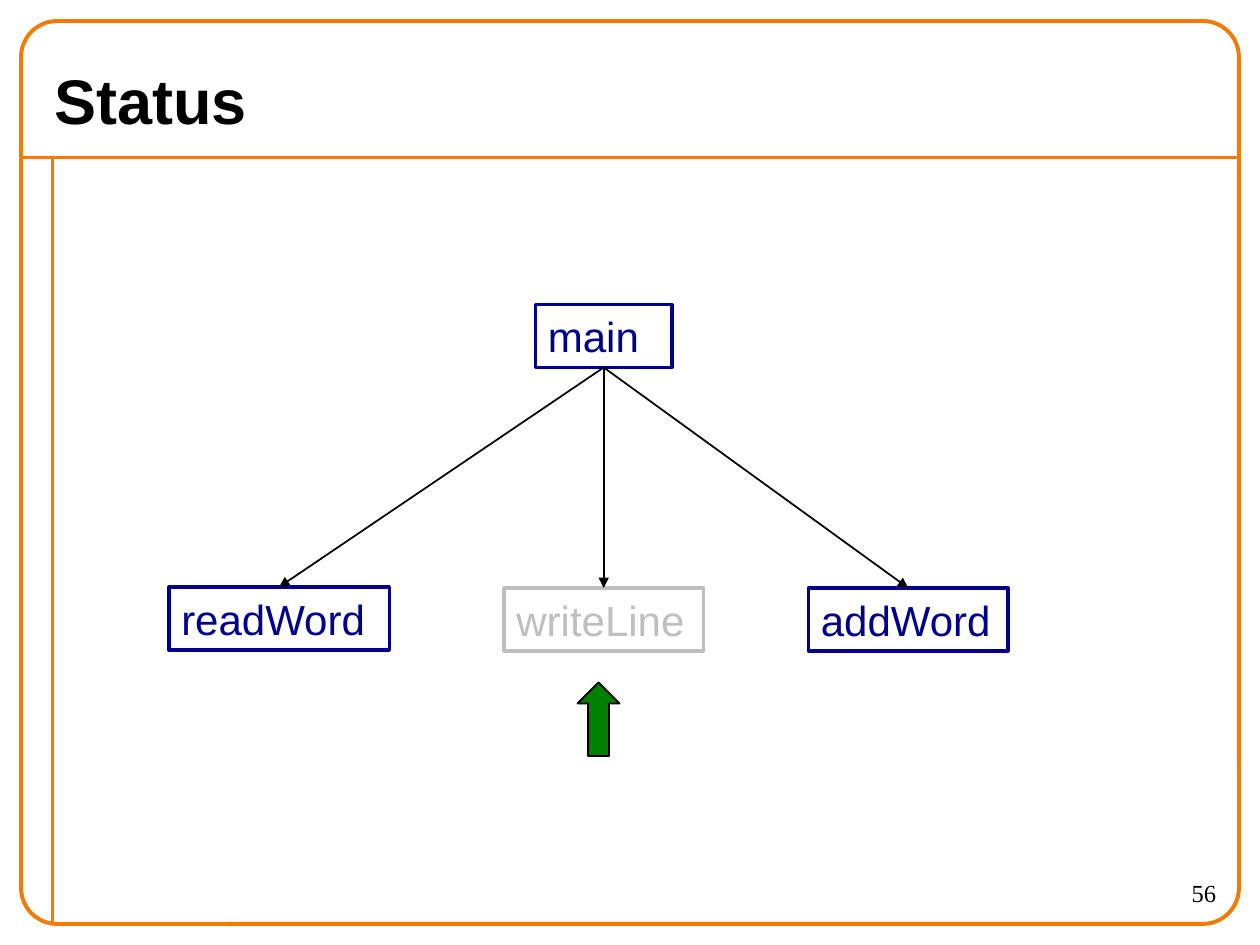
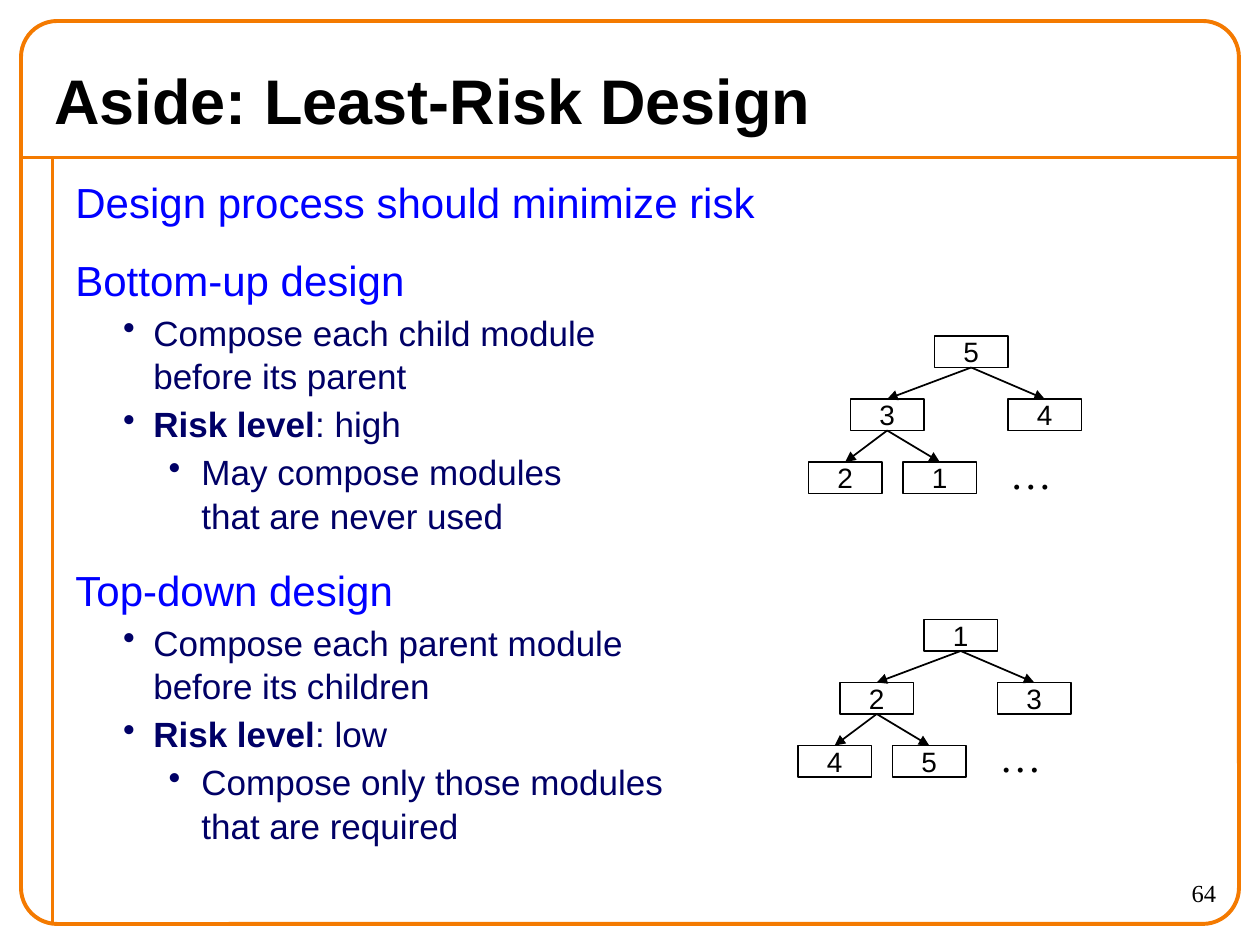
from lxml import etree
from pptx import Presentation
from pptx.dml.color import RGBColor
from pptx.enum import shapes, text
from pptx.oxml import ns
from pptx.util import Pt

HUES = {"frame": "F47A00", "black": "000000", "navy": "000090", "gray": "BFBFBF",
        "green": "008000", "blue": "0000FF", "ink": "000066"}
RGB = {name: RGBColor.from_string(hue) for name, hue in HUES.items()}
SANS, SERIF = "Arial", "Times New Roman"
KIND = shapes.MSO_SHAPE
LEFT, MID, RIGHT = text.PP_ALIGN.LEFT, text.PP_ALIGN.CENTER, text.PP_ALIGN.RIGHT
TOP, CENTER = text.MSO_ANCHOR.TOP, text.MSO_ANCHOR.MIDDLE


def box(slide, place, words="", size=24, hue="black", font=SANS, bold=False, align=LEFT,
        anchor=TOP, wrap=True, kind=None, width=1, line="black", fill=None):
    """Add a preset shape, or a plain text box when no kind is given."""
    place = [Pt(n) for n in place]
    if kind is None:
        item = slide.shapes.add_textbox(*place)
    else:
        item = slide.shapes.add_shape(kind, *place)
        item.shadow.inherit = False
        item.line.color.rgb = RGB[line]
        item.line.width = Pt(width)
        if fill:
            item.fill.solid()
            item.fill.fore_color.rgb = RGB[fill]
        else:
            item.fill.background()
    frame = item.text_frame
    frame.word_wrap = wrap
    frame.vertical_anchor = anchor
    if words:
        para = frame.paragraphs[0]
        para.alignment = align
        run = para.add_run()
        run.text = words
        run.font.size = Pt(size)
        run.font.name = font
        run.font.bold = bold
        run.font.color.rgb = RGB[hue]
    return item


def link(slide, start, end, hue="black", width=1, head=True):
    """Draw a straight line, with an arrowhead at its end if wanted."""
    item = slide.shapes.add_connector(
        shapes.MSO_CONNECTOR.STRAIGHT, *[Pt(n) for n in (*start, *end)])
    item.line.color.rgb = RGB[hue]
    item.line.width = Pt(width)
    if head:
        etree.SubElement(item.line._get_or_add_ln(), ns.qn("a:tailEnd"), type="triangle")
    etree.SubElement(item._element.spPr, ns.qn("a:effectLst"))
    return item


deck = Presentation()
deck.slide_width, deck.slide_height = Pt(720), Pt(540)

# Frame, title and page number of every slide
pages = []
for title, number in [("Status", "56"), ("Aside: Least-Risk Design", "64")]:
    page = deck.slides.add_slide(deck.slide_layouts[6])
    for start, end in [((12, 90), (708, 90)), ((30, 90), (30, 528))]:
        link(page, start, end, "frame", 2.25, head=False)
    edge = box(page, (12, 12, 696, 516), kind=KIND.ROUNDED_RECTANGLE,
               line="frame", width=2.25)
    edge.adjustments[0] = 0.04
    box(page, (24, 30, 672, 54), title, 36, bold=True, anchor=CENTER)
    box(page, (630, 498, 72, 30), number, 14, font=SERIF, align=RIGHT)
    pages.append(page)
status, aside = pages

# Status: main calls three modules
calls = [("main", 306, 174, 78, "navy"), ("readWord", 96.5, 335.5, 126, "navy"),
         ("writeLine", 288, 336, 114, "gray"), ("addWord", 462, 336, 114, "navy")]
mods = [box(status, (x, y, wide, 36), name, hue=hue, kind=KIND.RECTANGLE,
            width=2, line=hue)
        for name, x, y, wide, hue in calls]
trees = [(status, mods, [(0, 1), (0, 2), (0, 3)])]
box(status, (330, 390, 24, 42), kind=KIND.UP_ARROW, fill="green")

# Least-risk design: level, then runs of (text, bold)
points = [
    (0, [("Design process should minimize risk", False)]),
    (0, [("Bottom-up design", False)]),
    (1, [("Compose each child module\nbefore its parent", False)]),
    (1, [("Risk level", True), (": high", False)]),
    (2, [("May compose modules\nthat are never used", False)]),
    (0, [("Top-down design", False)]),
    (1, [("Compose each parent module\nbefore its children", False)]),
    (1, [("Risk level", True), (": low", False)]),
    (2, [("Compose only those modules\nthat are required", False)]),
]
# Per level: size, colour, space before, left margin, hanging indent
styles = [(24, "blue", 15, 17.25, 17.25), (20, "ink", 2.5, 44.5, 17.25),
          (20, "ink", 2.5, 72, 18.75)]
body = box(aside, (36, 96, 666, 432)).text_frame
for i, (level, runs) in enumerate(points):
    size, hue, space, margin, hang = styles[level]
    para = body.add_paragraph() if i else body.paragraphs[0]
    para.level = level
    para.line_spacing = 1.04
    para.space_before = Pt(space if i else 0)
    props = para._p.get_or_add_pPr()
    props.set("marL", str(Pt(margin)))
    props.set("indent", str(-Pt(hang)))
    if level:
        etree.SubElement(props, ns.qn("a:buChar"), char="•")
    for words, bold in runs:
        for j, part in enumerate(words.split("\n")):
            if j:
                para.add_line_break()
            run = para.add_run()
            run.text = part
            run.font.size = Pt(size)
            run.font.name = SANS
            run.font.bold = bold
            run.font.color.rgb = RGB[hue]

# Two small trees, numbered in order of composition
spots = [(0, 0), (-48, 36), (42, 36), (-72, 72), (-18, 72)]
for left, top, order in [(534, 192, "53421"), (528, 354, "12345")]:
    nodes = [box(aside, (left + x, top + y, 42, 18), name, 16, align=MID, anchor=CENTER,
                 wrap=False, kind=KIND.RECTANGLE)
             for (x, y), name in zip(spots, order)]
    trees.append((aside, nodes, [(0, 1), (1, 3), (0, 2), (1, 4)]))
    box(aside, (left + 36, top + 60, 38, 36), "…", font=SERIF, wrap=False)

# Arrows from the bottom of each parent to the top of its child
for page, nodes, edges in trees:
    for a, b in edges:
        arrow = link(page, (0, 0), (0, 0))
        arrow.begin_connect(nodes[a], 2)
        arrow.end_connect(nodes[b], 0)

deck.save("out.pptx")
